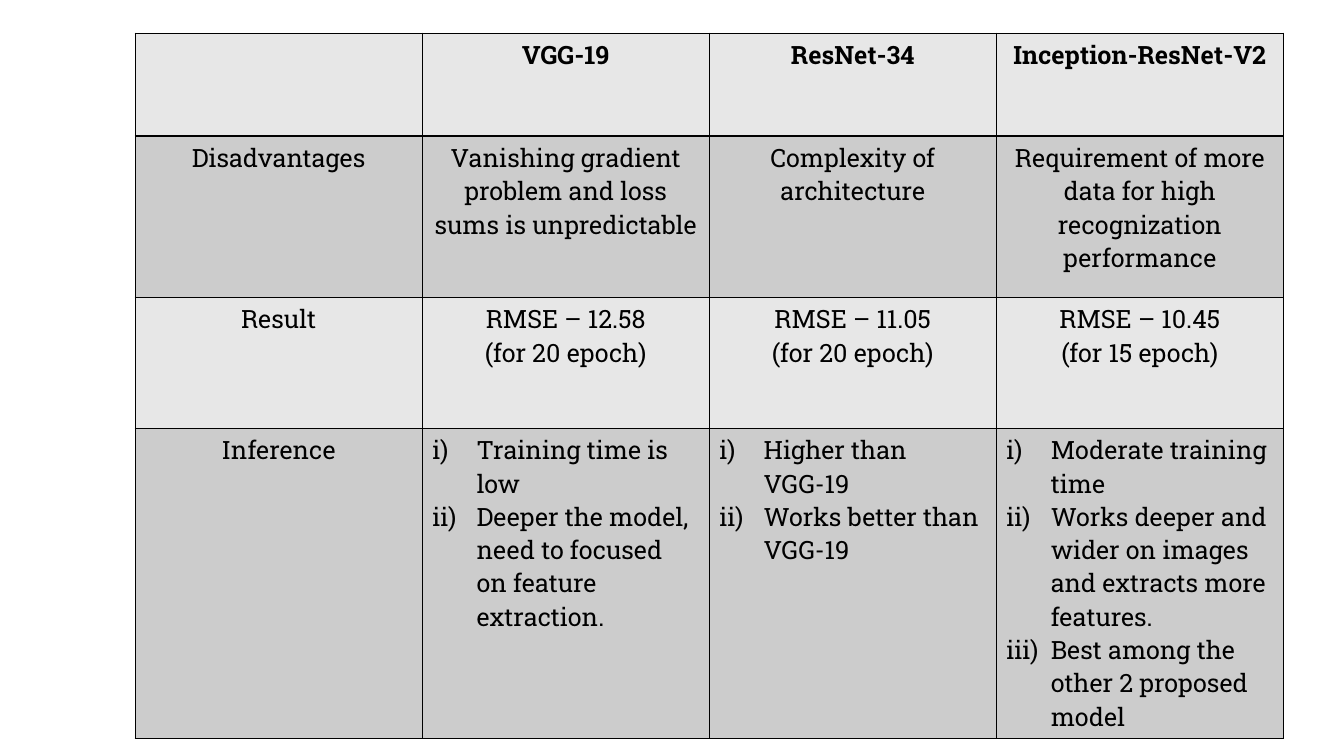
from lxml.etree import SubElement
from pptx import Presentation
from pptx.dml.color import RGBColor
from pptx.enum.text import PP_ALIGN as Align
from pptx.oxml.ns import qn
from pptx.util import Inches, Pt

BLACK = RGBColor(0x00, 0x00, 0x00)
LIGHT_GREY = RGBColor(0xE7, 0xE7, 0xE7)
MID_GREY = RGBColor(0xCC, 0xCC, 0xCC)

BODY_FONT = {"name": "Roboto Slab", "size": Pt(18), "bold": False}
HEADER_FONT = {**BODY_FONT, "bold": True}

ROW_HEIGHTS = [1.02, 1.6, 1.3, 3.08]
COMPARISON = [
    [[], ["VGG-19"], ["ResNet-34"], ["Inception-ResNet-V2"]],
    [
        ["Disadvantages"],
        ["Vanishing gradient problem and loss sums is unpredictable"],
        ["Complexity of architecture"],
        ["Requirement of more data for high recognization performance"],
    ],
    [
        ["Result"],
        ["RMSE – 12.58", "(for 20 epoch)"],
        ["RMSE – 11.05", "(for 20 epoch)"],
        ["RMSE – 10.45", "(for 15 epoch)"],
    ],
    [
        ["Inference"],
        [
            "Training time is low",
            "Deeper the model, need to focused on feature extraction.",
        ],
        ["Higher than VGG-19", "Works better than VGG-19"],
        [
            "Moderate training time",
            "Works deeper and wider on images and extracts more features.",
            "Best among the other 2 proposed model",
        ],
    ],
]


def add_borders(cell):
    properties = cell._tc.get_or_add_tcPr()
    for side in ("a:lnL", "a:lnR", "a:lnT", "a:lnB"):
        border = SubElement(properties, qn(side), w=str(Pt(1)))
        fill = SubElement(border, qn("a:solidFill"))
        SubElement(fill, qn("a:srgbClr"), val=str(BLACK))


def number_paragraph(paragraph):
    properties = paragraph._p.get_or_add_pPr()
    hanging = Inches(0.44)
    properties.set("marL", str(hanging))
    properties.set("indent", str(-hanging))
    SubElement(properties, qn("a:buFont"), typeface=BODY_FONT["name"])
    SubElement(properties, qn("a:buAutoNum"), type="romanLcParenR")


def fill_cell(cell, lines, shade, font_format, numbered):
    add_borders(cell)
    cell.fill.solid()
    cell.fill.fore_color.rgb = shade
    frame = cell.text_frame
    for position, line in enumerate(lines):
        paragraph = frame.add_paragraph() if position else frame.paragraphs[0]
        if numbered:
            paragraph.alignment = Align.LEFT
            number_paragraph(paragraph)
        else:
            paragraph.alignment = Align.CENTER
        run = paragraph.add_run()
        run.text = line
        for attribute, value in font_format.items():
            setattr(run.font, attribute, value)
        run.font.color.rgb = BLACK


def add_comparison(slide, left, top, width, height):
    row_count, column_count = len(COMPARISON), len(COMPARISON[0])
    table = slide.shapes.add_table(
        row_count, column_count, left, top, width, height
    ).table
    for row, share in zip(table.rows, ROW_HEIGHTS):
        row.height = int(height * share / sum(ROW_HEIGHTS))
    for r, models in enumerate(COMPARISON):
        shade = MID_GREY if r % 2 else LIGHT_GREY
        font_format = BODY_FONT if r else HEADER_FONT
        for c, lines in enumerate(models):
            numbered = r == row_count - 1 and c > 0
            fill_cell(table.cell(r, c), lines, shade, font_format, numbered)


def main():
    deck = Presentation()
    deck.slide_width, deck.slide_height = Inches(13.33), Inches(7.5)
    slide = deck.slides.add_slide(deck.slide_layouts[6])
    add_comparison(slide, Inches(1.34), Inches(0.33), Inches(11.39), Inches(7))
    deck.save("out.pptx")


if __name__ == "__main__":
    main()
